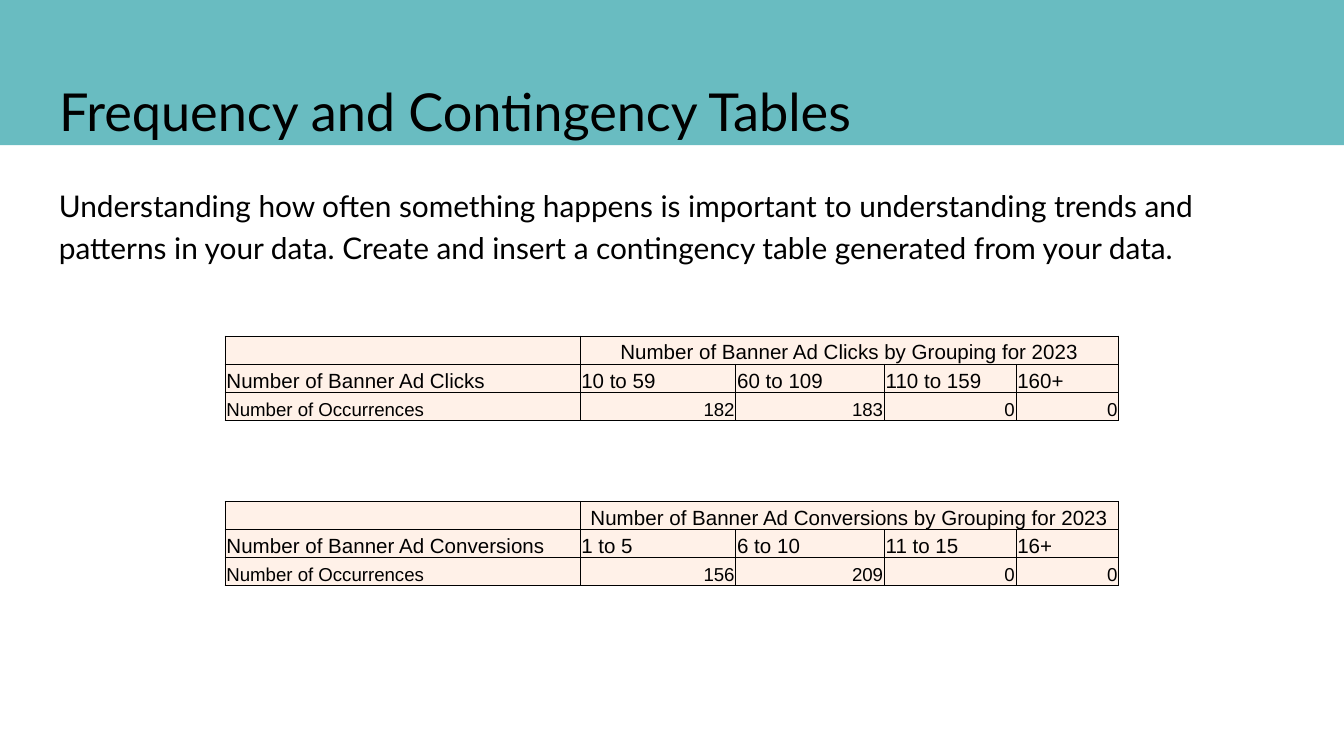
from lxml.etree import SubElement
from pptx import Presentation
from pptx.dml.color import RGBColor
from pptx.enum.shapes import MSO_SHAPE as Shape
from pptx.enum.text import MSO_ANCHOR as Anchor, MSO_AUTO_SIZE as AutoSize, PP_ALIGN as Align
from pptx.oxml.ns import qn
from pptx.util import Pt

PX = 4572  # EMU in one px, at 200 px to the inch
WIDTH, HEIGHT = 2000, 1125
COLORS = {"band": "69BCC1", "cell": "FFF1E8", "ink": "000000"}
COLUMNS = [528, 232, 221, 196, 153]
ROW_HEIGHT = 42


def px(*lengths):
    return [length * PX for length in lengths]


def color(name):
    return RGBColor.from_string(COLORS[name])


def set_font(paragraph, name, size):
    font = paragraph.font
    font.name, font.size, font.bold = name, Pt(size), False
    font.color.rgb = color("ink")


def set_margins(frame, left, top, right, bottom):
    frame.margin_left, frame.margin_top, frame.margin_right, frame.margin_bottom = px(
        left, top, right, bottom)


def add_solid(parent, name):
    fill = SubElement(parent, qn("a:solidFill"))
    return SubElement(fill, qn("a:srgbClr"), val=COLORS[name])


def add_header(slide, box, text):
    left, top, width, height = box
    # Band with a soft shadow, behind the title
    band = slide.shapes.add_shape(Shape.RECTANGLE, *px(*box))
    band.fill.solid()
    band.fill.fore_color.rgb = color("band")
    band.line.fill.background()
    band.shadow.inherit = False
    element = band._element
    element.remove(element.find(qn("p:style")))
    effects = element.spPr.find(qn("a:effectLst"))
    shadow = SubElement(effects, qn("a:outerShdw"), blurRad=str(Pt(4.5)),
                        dist=str(Pt(1.5)), dir="5400000", algn="bl", rotWithShape="0")
    SubElement(add_solid(shadow, "ink"), qn("a:alpha"), val="50000")
    slide.shapes._spTree.insert(2, element)

    # Title
    title = slide.shapes.title
    title.left, title.top, title.width, title.height = px(
        left + 68, top + 98, width - 136, 126)
    frame = title.text_frame
    frame.text = text
    frame.auto_size = AutoSize.NONE
    frame.vertical_anchor = Anchor.TOP
    set_margins(frame, 20, 20, 20, 20)
    frame.paragraphs[0].alignment = Align.LEFT
    set_font(frame.paragraphs[0], "Lato", 28)


def add_body(slide, box, text):
    frame = slide.shapes.add_textbox(*px(*box)).text_frame
    frame.word_wrap = True
    frame.auto_size = AutoSize.SHAPE_TO_FIT_TEXT
    set_margins(frame, 20, 20, 20, 20)
    frame.text = text
    paragraph = frame.paragraphs[0]
    paragraph.line_spacing = 1.15
    paragraph.space_after = Pt(12)
    set_font(paragraph, "Lato", 16)


def format_cell(cell, text, size, alignment):
    cell.text = text
    cell.vertical_anchor = Anchor.BOTTOM
    set_margins(cell, 2, 2, 2, 0)
    paragraph = cell.text_frame.paragraphs[0]
    paragraph.alignment = alignment
    set_font(paragraph, "Arial", size)
    if not text:  # keeps an empty cell from stretching its row
        SubElement(paragraph._p, qn("a:endParaRPr"), sz=str(size * 100))
    properties = cell._tc.get_or_add_tcPr()
    for side in ("a:lnL", "a:lnR", "a:lnT", "a:lnB"):
        add_solid(SubElement(properties, qn(side), w=str(Pt(0.5))), "ink")
    cell.fill.solid()
    cell.fill.fore_color.rgb = color("cell")


def add_frequency_table(slide, left, top, measure, groups, counts):
    rows = [
        ["", f"Number of {measure} by Grouping for 2023", "", "", ""],
        [f"Number of {measure}", *groups],
        ["Number of Occurrences", *map(str, counts)],
    ]
    table = slide.shapes.add_table(
        len(rows), len(COLUMNS),
        *px(left, top, sum(COLUMNS), ROW_HEIGHT * len(rows))).table
    table.first_row = table.horz_banding = False
    for column, width in zip(table.columns, COLUMNS):
        column.width = width * PX
    alignments = [Align.CENTER, Align.LEFT, Align.RIGHT]
    for i, (values, alignment) in enumerate(zip(rows, alignments)):
        table.rows[i].height = ROW_HEIGHT * PX
        for j, value in enumerate(values):
            format_cell(table.cell(i, j), value, 10 if i == 2 else 11,
                        alignment if j else Align.LEFT)
    table.cell(0, 1).merge(table.cell(0, 4))


def main():
    presentation = Presentation()
    presentation.slide_width, presentation.slide_height = px(WIDTH, HEIGHT)
    slide = presentation.slides.add_slide(presentation.slide_layouts[5])
    add_header(slide, (0, 0, WIDTH, 216), "Frequency and Contingency Tables")
    add_body(slide, (68, 252, 1864, 156),
             "Understanding how often something happens is important to understanding "
             "trends and patterns in your data. Create and insert a contingency table "
             "generated from your data.")
    add_frequency_table(slide, 335, 500, "Banner Ad Clicks",
                        ["10 to 59", "60 to 109", "110 to 159", "160+"],
                        [182, 183, 0, 0])
    add_frequency_table(slide, 335, 746, "Banner Ad Conversions",
                        ["1 to 5", "6 to 10", "11 to 15", "16+"],
                        [156, 209, 0, 0])
    presentation.save("out.pptx")


if __name__ == "__main__":
    main()
